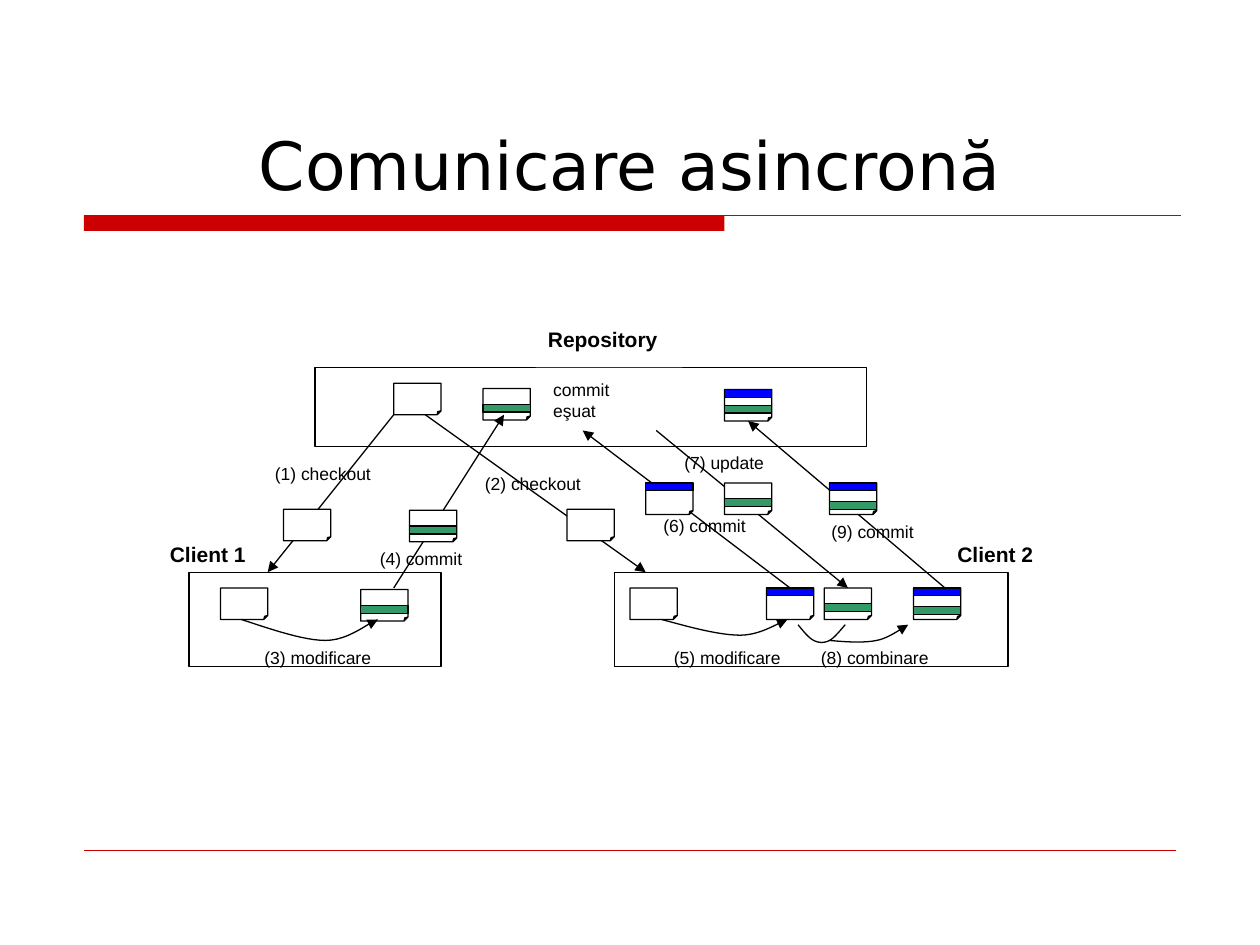
from lxml import etree
from pptx import Presentation
from pptx.dml.color import RGBColor
from pptx.enum.shapes import MSO_CONNECTOR, MSO_SHAPE
from pptx.enum.text import MSO_ANCHOR, MSO_AUTO_SIZE, PP_ALIGN
from pptx.oxml.ns import qn
from pptx.util import Inches, Pt

RECT, PAGE = MSO_SHAPE.RECTANGLE, MSO_SHAPE.FOLDED_CORNER
STRAIGHT = MSO_CONNECTOR.STRAIGHT
BOTTOM, CENTER, NO_FIT = MSO_ANCHOR.BOTTOM, PP_ALIGN.CENTER, MSO_AUTO_SIZE.NONE
SIDE_TOP, SIDE_BOTTOM = 0, 2

COLORS = {"ink": "000000", "paper": "FFFFFF", "rule": "CC0000",
          "green": "339966", "blue": "0000FF"}

# Grid: 24 columns or rows to the inch, so the slide is 240 x 180
DOC_W, DOC_H, BAND_H = 9, 6, 1.5
CURVE_STEPS = 12

# Frames: column, row, width, height, fill
FRAMES = [(117, 109, 75, 18, "paper"), (60, 70, 105, 15, None),
          (36, 109, 48, 18, "paper")]

# Documents: column, row, bands as {colour: rows below the top}
STORED = {
    "repo v0": (75, 73, {}),
    "repo v1": (92, 74, {"green": 3}),
    "repo v2": (138, 74.2, {"green": 3, "blue": 0}),
    "client 1 base": (42, 112, {}),
    "client 1 edit": (68.7, 112.3, {"green": 3}),
    "client 2 base": (120, 112, {}),
    "client 2 edit": (146, 112, {"blue": 0}),
    "client 2 update": (157, 112, {"green": 3}),
    "client 2 merge": (174, 112, {"green": 3.5, "blue": 0}),
}
IN_TRANSIT = [
    (54, 97, {}), (108, 97, {}), (78, 97.2, {"green": 3}),
    (123, 92, {"blue": 0}), (138, 92, {"green": 3}),
    (158, 92, {"green": 3.5, "blue": 0}),
]

# Transfers: start, end, document joined at the start, and at the end
TRANSFERS = [
    ((75, 79), (51, 109), None, None),
    ((81, 79), (123, 109), None, None),
    ((75, 112), (96, 79), None, None),
    ((150, 112), (111, 82), "client 2 edit", None),
    ((125, 82), (161, 112), None, "client 2 update"),
    ((180, 112), (142, 80), None, "repo v2"),
]

# Local changes: start, Bezier segments, arrowhead
CHANGES = [
    ((46, 118), [((52, 120), (58, 122), (62, 122)),
                 ((66.5, 122), (70.3, 118.5), (72, 118))], True),
    ((126, 118), [((131.5, 119.5), (137, 121), (141, 121)),
                  ((145, 121), (148.5, 118.5), (150, 118))], True),
    ((152, 119), [((153, 120.2), (154, 121.5), (155, 122)),
                  ((156, 122.5), (157, 122.5), (158, 122)),
                  ((159, 121.5), (160.5, 119.5), (161, 119))], False),
    ((158, 122), [((161.3, 122.3), (164.5, 122.5), (167, 122)),
                  ((169.5, 121.5), (172, 119.5), (173, 119))], True),
]

# Labels: text, column, row, width, height
HEADINGS = [("Client 1", 30, 102, 27, 7), ("Client 2", 180, 102, 27, 7)]
STEPS = [
    ("(1) checkout", 50, 87, 24, 9), ("(2) checkout", 90, 89, 24, 9),
    ("(3) modificare", 48, 122, 28, 9), ("(4) commit", 70, 103.2, 24, 9),
    ("(5) modificare", 126, 122, 26.5, 9), ("(6) commit", 124, 97, 24, 9),
    ("(7) update", 128, 85, 24, 9), ("(8) combinare", 154, 122, 28, 9),
    ("(9) commit", 156, 98, 24, 9), ("commit eşuat", 103, 71, 21, 12),
]


def grid(*cells):
    return [Inches(cell / 24) for cell in cells]


def color(name):
    return RGBColor.from_string(COLORS[name])


def style_line(item, name="ink", width=0.75, arrow=False):
    item.line.color.rgb = color(name)
    item.line.width = Pt(width)
    if arrow:
        outline = item.element.spPr.find(qn("a:ln"))
        etree.SubElement(outline, qn("a:tailEnd"), type="triangle")


def add_box(shapes, kind, column, row, width, height, fill, line="ink"):
    box = shapes.add_shape(kind, *grid(column, row, width, height))
    box.shadow.inherit = False
    if fill:
        box.fill.solid()
        box.fill.fore_color.rgb = color(fill)
    else:
        box.fill.background()
    if line:
        style_line(box, line)
    else:
        box.line.fill.background()
    return box


def add_document(shapes, column, row, bands):
    parent = shapes.add_group_shape().shapes if bands else shapes
    page = add_box(parent, PAGE, column, row, DOC_W, DOC_H, "paper")
    # Fold an eighth of the page's corner
    folds = page.element.spPr.find(qn("a:prstGeom")).find(qn("a:avLst"))
    etree.SubElement(folds, qn("a:gd"), name="adj", fmla="val 12500")
    for band, offset in bands.items():
        add_box(parent, RECT, column, row + offset, DOC_W, BAND_H, band)
    return page


def add_line(shapes, start, end, name="ink", width=0.75, arrow=False):
    line = shapes.add_connector(STRAIGHT, *grid(*start, *end))
    style_line(line, name, width, arrow)
    etree.SubElement(line.element.spPr, qn("a:effectLst"))
    return line


def bezier(points, t):
    weights = ((1 - t) ** 3, 3 * t * (1 - t) ** 2, 3 * t * t * (1 - t), t ** 3)
    return tuple(sum(w * p[axis] for w, p in zip(weights, points))
                 for axis in (0, 1))


def add_curve(shapes, start, segments, arrow):
    points = [start]
    for segment in segments:
        controls = (points[-1], *segment)
        points += [bezier(controls, step / CURVE_STEPS)
                   for step in range(1, CURVE_STEPS + 1)]
    builder = shapes.build_freeform(*grid(*start))
    builder.add_line_segments([grid(*p) for p in points[1:]], close=False)
    curve = builder.convert_to_shape()
    curve.shadow.inherit = False
    curve.fill.background()
    style_line(curve, arrow=arrow)


def write(frame, text, size, font, bold=False):
    frame.word_wrap = True
    run = frame.paragraphs[0].add_run()
    run.text = text
    run.font.size = Pt(size)
    run.font.name = font
    run.font.bold = bold
    run.font.color.rgb = color("ink")


def add_label(shapes, text, column, row, width, height, size=10, bold=False):
    label = shapes.add_textbox(*grid(column, row, width, height))
    write(label.text_frame, text, size, "Arial", bold)
    return label


def add_title(slide, text):
    title = slide.shapes.title
    title.left, title.top, title.width, title.height = grid(15, 8, 210, 32)
    frame = title.text_frame
    frame.auto_size = NO_FIT
    frame.vertical_anchor = BOTTOM
    frame.paragraphs[0].alignment = CENTER
    write(frame, text, 38, "DejaVu Sans")


def add_repository_heading(shapes):
    heading = add_label(shapes, "Repository", 102, 61, 28, 9, 12, True)
    heading.fill.solid()
    heading.fill.fore_color.rgb = color("paper")
    paint = heading.element.spPr.find(qn("a:solidFill"))[0]
    etree.SubElement(paint, qn("a:alpha"), val="60000")


def main():
    prs = Presentation()
    prs.slide_width, prs.slide_height = grid(240, 180)
    slide = prs.slides.add_slide(prs.slide_layouts[5])
    shapes = slide.shapes

    # Title and red rules
    add_title(slide, "Comunicare asincronă")
    add_box(shapes, RECT, 16, 41, 122, 3, "rule", None)
    add_line(shapes, (16, 41), (225, 41), "rule")
    add_line(shapes, (16, 162), (224, 162), "rule", 0.25)

    # Repository and clients with their documents
    for frame in FRAMES:
        add_box(shapes, RECT, *frame)
    stored = {key: add_document(shapes, *doc) for key, doc in STORED.items()}

    # Transfers between them
    for start, end, source, target in TRANSFERS:
        transfer = add_line(shapes, start, end, arrow=True)
        if source:
            transfer.begin_connect(stored[source], SIDE_TOP)
        if target:
            side = SIDE_BOTTOM if end[1] < start[1] else SIDE_TOP
            transfer.end_connect(stored[target], side)
    for doc in IN_TRANSIT:
        add_document(shapes, *doc)

    # Local changes
    for change in CHANGES:
        add_curve(shapes, *change)

    # Labels
    add_repository_heading(shapes)
    for heading in HEADINGS:
        add_label(shapes, *heading, size=12, bold=True)
    for step in STEPS:
        add_label(shapes, *step)

    prs.save("out.pptx")


if __name__ == "__main__":
    main()
